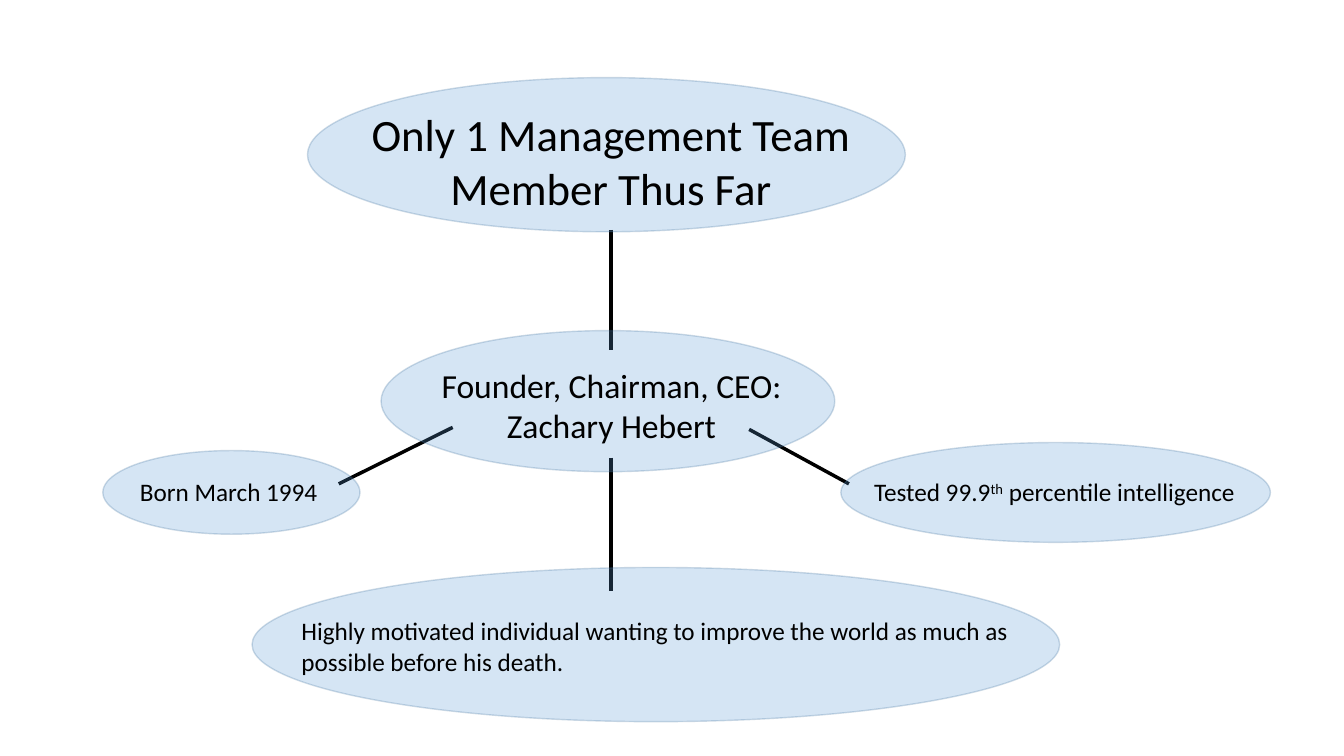
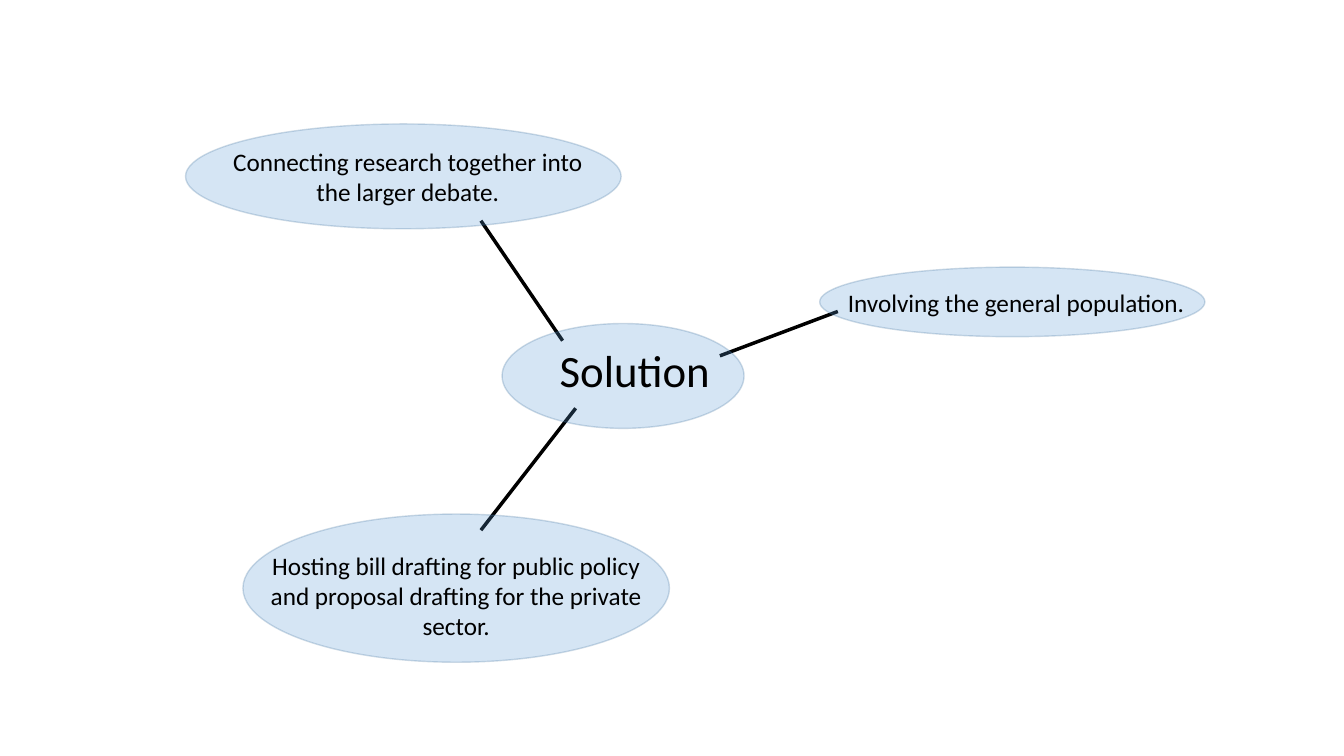
from lxml import etree
from pptx import Presentation
from pptx.dml.color import RGBColor
from pptx.enum import shapes, text
from pptx.oxml import ns
from pptx.util import Inches, Pt

FONT = "Calibri"
BLACK = "000000"
BUBBLE_FILL = "5B9BD5"
BUBBLE_LINE = "43739E"
BUBBLE_OPACITY = 25
TITLE_SIZE, ROLE_SIZE, FACT_SIZE = 32, 24, 18
LEFT, CENTER = text.PP_ALIGN.LEFT, text.PP_ALIGN.CENTER


def color(hex_string):
    return RGBColor.from_string(hex_string)


def add_connector(slide, start, end, width=2.5):
    points = [Inches(value) for value in (*start, *end)]
    connector = slide.shapes.add_connector(shapes.MSO_CONNECTOR.STRAIGHT, *points)
    connector.line.color.rgb = color(BLACK)
    connector.line.width = Pt(width)
    etree.SubElement(connector.element.spPr, ns.qn("a:effectLst"))


def add_bubble(slide, *box):
    bubble = slide.shapes.add_shape(
        shapes.MSO_SHAPE.OVAL, *[Inches(value) for value in box])
    bubble.shadow.inherit = False
    bubble.fill.solid()
    bubble.fill.fore_color.rgb = color(BUBBLE_FILL)
    bubble.line.color.rgb = color(BUBBLE_LINE)
    bubble.line.width = Pt(1)
    for solid_color in bubble.element.spPr.iter(ns.qn("a:srgbClr")):
        alpha = etree.SubElement(solid_color, ns.qn("a:alpha"))
        alpha.set("val", str(BUBBLE_OPACITY * 1000))


def write_text(shape, wording, size, align):
    """Write one paragraph per line; wording between ^ marks is superscript."""
    frame = shape.text_frame
    frame.text = wording
    frame.word_wrap = True
    frame.auto_size = text.MSO_AUTO_SIZE.SHAPE_TO_FIT_TEXT
    frame.vertical_anchor = text.MSO_ANCHOR.TOP
    for paragraph in frame.paragraphs:
        paragraph.alignment = align
        parts = paragraph.text.split("^")
        paragraph.text = parts[0]
        for part in parts[1:]:
            paragraph.add_run().text = part
        for index, run in enumerate(paragraph.runs):
            run.font.name = FONT
            run.font.size = Pt(size)
            run.font.color.rgb = color(BLACK)
            if index % 2:
                run.font._element.set("baseline", "30000")


def add_label(slide, wording, *box, size=FACT_SIZE, align=LEFT):
    label = slide.shapes.add_textbox(*[Inches(value) for value in box])
    write_text(label, wording, size, align)


def place_title(slide, wording, *box, align=CENTER):
    """Place the title in front of the bubbles."""
    title = slide.shapes.title
    title.left, title.top, title.width, title.height = map(Inches, box)
    write_text(title, wording, TITLE_SIZE, align)
    title.element.getparent().append(title.element)


def build_team(slide):
    trunk = 6.06
    add_connector(slide, (trunk, 2.28), (trunk, 3.47), width=3.25)
    add_connector(slide, (4.49, 4.24), (3.36, 4.8))
    add_connector(slide, (8.42, 4.8), (7.43, 4.26))
    add_connector(slide, (trunk, 4.54), (trunk, 5.86))

    add_bubble(slide, 8.34, 4.39, 4.26, 0.99)
    add_bubble(slide, 2.5, 5.63, 8.01, 1.53)
    add_bubble(slide, 1.02, 4.47, 2.55, 0.83)
    add_bubble(slide, 3.78, 3.28, 4.5, 1.4)
    add_bubble(slide, 3.05, 0.77, 5.93, 1.53)

    add_label(slide, "Highly motivated individual wanting to improve the world "
              "as much as possible before his death.", 2.89, 6.06, 7.45, 0.71)
    add_label(slide, "Tested 99.9^th^ percentile intelligence",
              8.57, 4.68, 3.89, 0.4)
    add_label(slide, "Born March 1994", 1.29, 4.68, 2.34, 0.4)
    add_label(slide, "Founder, Chairman, CEO:\nZachary Hebert",
              4.22, 3.57, 3.69, 0.91, size=ROLE_SIZE, align=CENTER)
    place_title(slide, "Only 1 Management Team\nMember Thus Far",
                3.51, 1.01, 5.1, 1.18)


def build_solution(slide):
    add_connector(slide, (4.77, 2.19), (5.58, 3.38))
    add_connector(slide, (7.14, 3.53), (8.31, 3.09))
    add_connector(slide, (5.71, 4.05), (4.77, 5.26))

    add_bubble(slide, 4.98, 3.21, 2.4, 1.04)
    add_bubble(slide, 1.84, 1.23, 4.32, 1.04)
    add_bubble(slide, 8.13, 2.65, 3.82, 0.69)
    add_bubble(slide, 2.41, 5.1, 4.23, 1.47)

    place_title(slide, "Solution", 5.45, 3.35, 1.93, 0.64, align=LEFT)
    add_label(slide, "Connecting research together into the larger debate.",
              2.04, 1.4, 4.01, 0.71, align=CENTER)
    add_label(slide, "Involving the general population.", 8.31, 2.8, 4.61, 0.4)
    add_label(slide, "Hosting bill drafting for public policy and proposal "
              "drafting for the private sector.",
              2.41, 5.41, 4.23, 1.01, align=CENTER)


def main():
    presentation = Presentation()
    presentation.slide_width = Inches(13.33)
    presentation.slide_height = Inches(7.5)
    title_only = presentation.slide_layouts.get_by_name("Title Only")
    for build in (build_team, build_solution):
        build(presentation.slides.add_slide(title_only))
    presentation.save("out.pptx")


if __name__ == "__main__":
    main()
